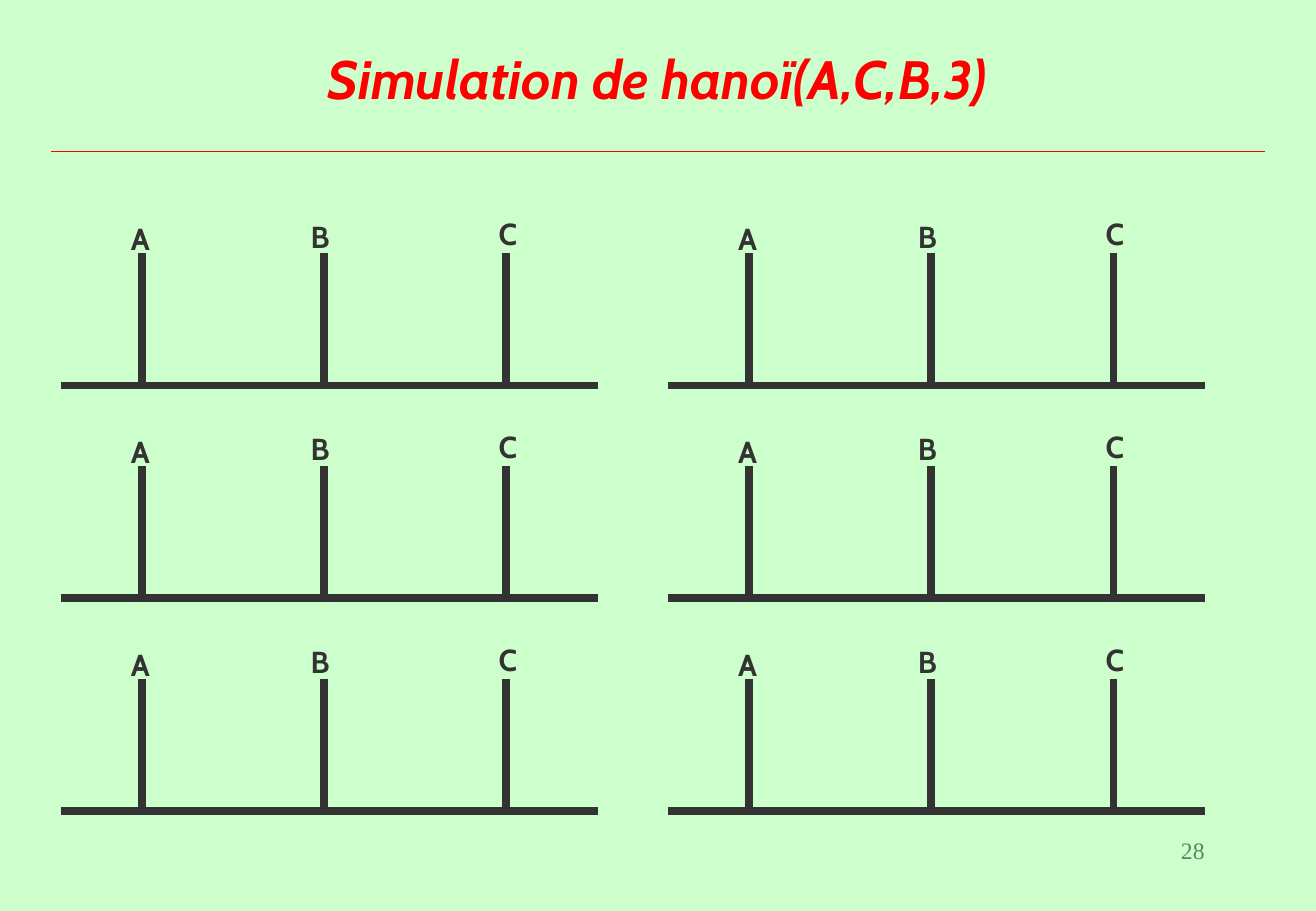
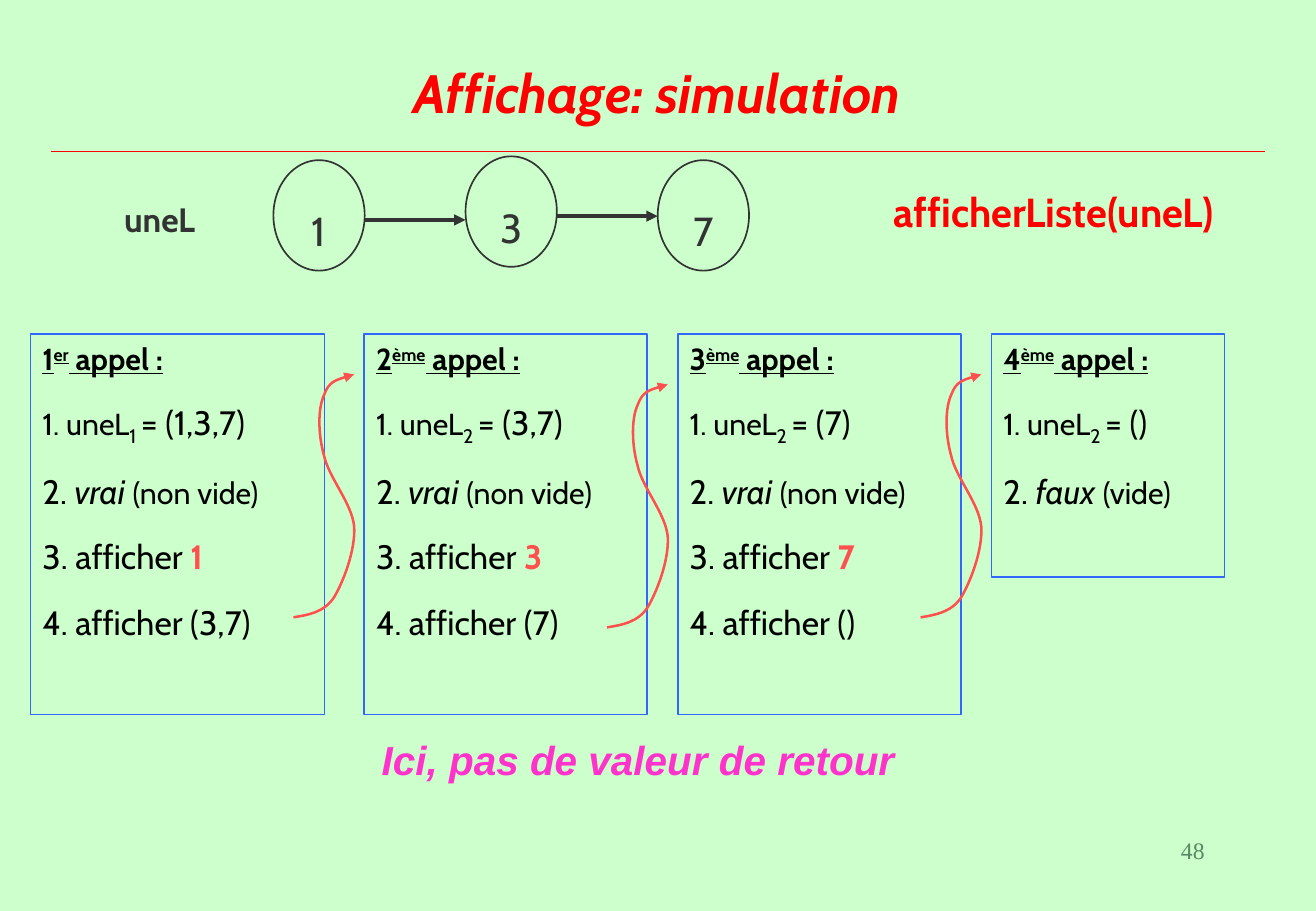
from itertools import product

from lxml.etree import SubElement
from pptx import Presentation
from pptx.dml.color import RGBColor
from pptx.enum.shapes import MSO_CONNECTOR, MSO_SHAPE
from pptx.enum.text import MSO_ANCHOR, PP_ALIGN
from pptx.oxml.ns import qn
from pptx.util import Cm, Pt

GREEN = "CCFFCC"
RED = "FF0000"
GREY = "333333"
BLACK = "010000"
BLUE = "3366FF"
CORAL = "FF5050"
PINK = "FF33CC"
NUMBER_GREEN = "578963"

PEG_LABELS = [("A", -0.48, -0.81), ("B", -0.53, -0.86), ("C", -0.41, -0.91)]
CALLS = [
    (0.64, 6.15, 7.95, "er", "1", "(1,3,7)", "1", "(3,7)"),
    (7.62, 5.92, 7.95, "ème", "2", "(3,7)", "3", "(7)"),
    (14.18, 5.92, 7.95, "ème", "2", "(7)", "7", "()"),
    (20.74, 4.88, 5.08, "ème", "2", "()", None, None),
]
CURVE = [
    (0, 0), (0.3, -0.05), (0.64, -0.1), (0.85, -0.42),
    (1.04, -0.74), (1.3, -1.4), (1.27, -1.9), (1.22, -2.39),
    (0.74, -2.92), (0.64, -3.38), (0.51, -3.84), (0.51, -4.37),
    (0.64, -4.65), (0.74, -4.93), (0.99, -5), (1.27, -5.08),
]


def colour(value):
    return RGBColor.from_string(value)


def style(span, size, shade, font="Cabin", bold=False, italic=False,
          underline=False, baseline=0):
    span.font.size = Pt(size)
    span.font.name = font
    span.font.bold = bold
    span.font.italic = italic
    span.font.underline = underline
    span.font.color.rgb = colour(shade)
    if baseline:
        span._r.get_or_add_rPr().set("baseline", str(baseline * 1000))


def write_line(frame, text, size, shade, align=PP_ALIGN.LEFT, spacing=None, **look):
    para = frame.paragraphs[0]
    para.text = text
    para.alignment = align
    para.line_spacing = spacing
    style(para.runs[0], size, shade, **look)


def add_label(page, left, top, width, height, text, size, shade, wrap=False, **look):
    box = page.shapes.add_textbox(Cm(left), Cm(top), Cm(width), Cm(height))
    box.text_frame.word_wrap = wrap
    write_line(box.text_frame, text, size, shade, **look)


def set_line(shape, shade, width, arrow=False):
    shape.line.color.rgb = colour(shade)
    shape.line.width = Pt(width)
    if arrow:
        outline = shape._element.spPr.find(qn("a:ln"))
        SubElement(outline, qn("a:tailEnd"), type="triangle")


def add_line(page, start_x, start_y, end_x, end_y, shade, width, arrow=False):
    line = page.shapes.add_connector(
        MSO_CONNECTOR.STRAIGHT, Cm(start_x), Cm(start_y), Cm(end_x), Cm(end_y))
    set_line(line, shade, width, arrow)
    SubElement(line._element.spPr, qn("a:effectLst"))


def add_outline(page, kind, left, top, width, height, shade):
    shape = page.shapes.add_shape(kind, Cm(left), Cm(top), Cm(width), Cm(height))
    shape.shadow.inherit = False
    shape.fill.background()
    set_line(shape, shade, 1)
    shape.text_frame.word_wrap = True
    return shape


def add_page(deck, title, number, top, height, bottom_margin):
    page = deck.slides.add_slide(deck.slide_layouts[5])
    box = page.shapes.title
    box.left, box.top, box.width, box.height = Cm(2.06), Cm(top), Cm(23.39), Cm(height)
    frame = box.text_frame
    frame.vertical_anchor = MSO_ANCHOR.BOTTOM
    frame.margin_bottom = Cm(bottom_margin)
    write_line(frame, title, 32, RED, align=PP_ALIGN.CENTER, bold=True, italic=True)
    add_line(page, 1.07, 3.17, 26.47, 3.17, RED, 1)
    add_label(page, 19.71, 17.35, 5.74, 1.27, number, 14, NUMBER_GREEN, wrap=True,
              align=PP_ALIGN.RIGHT, font="Times New Roman")
    return page


def add_towers(page, left, top):
    base = top + 2.77
    for index, (name, shift_x, shift_y) in enumerate(PEG_LABELS):
        peg = left + 1.7 + 3.81 * index
        add_line(page, peg, top, peg, base, GREY, 4.5)
        add_label(page, peg + shift_x, top + shift_y, 0.94, 1.02, name, 18, GREY, bold=True)
    add_line(page, left, base, left + 11.23, base, GREY, 4.5)


def add_linked_list(page, left, top):
    step = 4.02
    for index, (value, rise) in enumerate([("1", 0), ("3", 0.08), ("7", 0)]):
        node = left + step * index
        circle = add_outline(page, MSO_SHAPE.OVAL, node, top - rise, 1.91, 2.31, GREY)
        frame = circle.text_frame
        frame.vertical_anchor = MSO_ANCHOR.MIDDLE
        frame.margin_top, frame.margin_bottom = Cm(0.64), Cm(0)
        write_line(frame, value, 24, GREY, align=PP_ALIGN.CENTER)
        if index < 2:
            level = top + 1.25 - rise
            add_line(page, node + 1.91, level, node + step, level, GREY, 2.25, arrow=True)


def call_lines(order, suffix, subscript, values, shown, rest):
    heading = {"bold": True, "underline": True}
    lines = [
        [(order, 18, heading), (suffix, 18, {**heading, "baseline": 30}),
         (" appel :", 18, heading)],
        [("1. uneL", 18, {}), (subscript + " ", 20, {"baseline": -25}),
         ("= " + values, 20, {})],
        [("2. ", 20, {}), ("vrai " if shown else "faux ", 20, {"italic": True}),
         ("(non vide)" if shown else "(vide)", 18, {})],
    ]
    if shown:
        lines.append([("3. afficher ", 20, {}),
                      (shown, 20, {"bold": True, "shade": CORAL})])
        lines.append([("4. afficher " + rest, 20, {})])
    return lines


def add_call(page, left, top, width, height, lines):
    frame = add_outline(page, MSO_SHAPE.RECTANGLE, left, top, width, height, BLUE).text_frame
    frame.vertical_anchor = MSO_ANCHOR.TOP
    for index, line in enumerate(lines):
        para = frame.add_paragraph() if index else frame.paragraphs[0]
        para.alignment = PP_ALIGN.LEFT
        small = index in (0, 2)
        if index:
            para.space_before = Pt(11.2 if small else 12.5)
        para.space_after = Pt(2.2 if small else 2.5)
        for text, size, look in line:
            span = para.add_run()
            span.text = text
            style(span, size, **{"shade": BLACK, **look})


def add_call_arrow(page, left, top):
    points = [(Cm(left + x), Cm(top + y)) for x, y in CURVE]
    builder = page.shapes.build_freeform(*points[0])
    builder.add_line_segments(points[1:], close=False)
    arrow = builder.convert_to_shape()
    outline = next(arrow._element.iter(qn("a:path")))
    segments = outline.findall(qn("a:lnTo"))
    for first in range(0, len(segments), 3):
        bend = SubElement(outline, qn("a:cubicBezTo"))
        for segment in segments[first:first + 3]:
            bend.append(segment[0])
            outline.remove(segment)
    arrow.shadow.inherit = False
    arrow.fill.background()
    set_line(arrow, CORAL, 1.5, arrow=True)


def build_hanoi(deck):
    page = add_page(deck, "Simulation de hanoï(A,C,B,3)", "28", 0.64, 3.18, 1.51)
    for row, column in product(range(3), range(2)):
        add_towers(page, 1.27 + 12.7 * column, 5.29 + 4.45 * row)


def build_display(deck):
    page = add_page(deck, "Affichage: simulation", "48", 0.2, 2.54, 0.13)
    centred = {"align": PP_ALIGN.CENTER, "bold": True}
    add_label(page, 2.21, 4.39, 2.26, 0.69, "uneL", 20, GREY, spacing=0.5, **centred)
    add_label(page, 17.81, 4.22, 8.48, 0.76, "afficherListe(uneL)", 24, RED,
              spacing=0.5, **centred)
    add_linked_list(page, 5.72, 3.35)
    for index, (left, width, height, *content) in enumerate(CALLS):
        lines = call_lines(str(index + 1), *content)
        add_call(page, left, 6.99, width, height, lines)
    for (left, *_), drop in zip(CALLS[1:], (0, 0.21, 0)):
        add_call_arrow(page, left - 1.48, 12.91 + drop)
    add_label(page, 2.34, 15.24, 22.02, 1.27, "Ici, pas de valeur de retour", 24, PINK,
              wrap=True, font="Arial", italic=True, **centred)


def main():
    deck = Presentation()
    deck.slide_width, deck.slide_height = Cm(27.53), Cm(19.05)
    backdrop = deck.slide_master.background.fill
    backdrop.solid()
    backdrop.fore_color.rgb = colour(GREEN)
    build_hanoi(deck)
    build_display(deck)
    deck.save("out.pptx")


if __name__ == "__main__":
    main()
